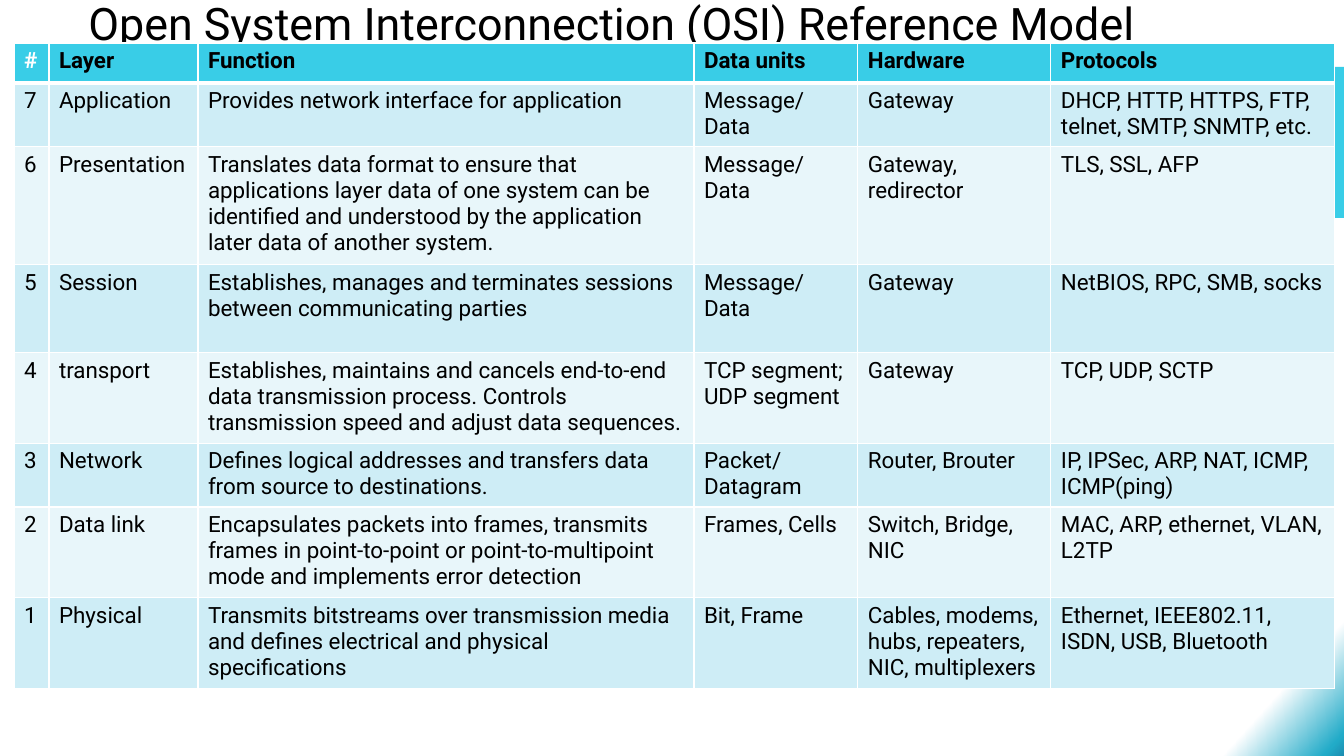
from lxml import etree
from pptx import Presentation
from pptx.dml.color import RGBColor
from pptx.enum.shapes import MSO_SHAPE
from pptx.enum.text import MSO_ANCHOR, PP_ALIGN
from pptx.oxml import parse_xml
from pptx.oxml.ns import nsdecls, qn
from pptx.util import Inches, Pt

FONT = "Roboto"
BLACK, WHITE, CYAN = "000000", "FFFFFF", "39CDE7"
BANDS = ["E8F6FA", "CEEDF6"]
SIDES = ["lnL", "lnR", "lnT", "lnB"]


def px(count):
    """Turn pixels into EMU, at 100.8 pixels to the inch."""
    return Inches(count / 100.8)


def rgb(code):
    return RGBColor.from_string(code)


deck = Presentation()
deck.slide_width, deck.slide_height = px(1344), px(756)
page = deck.slides.add_slide(deck.slide_layouts[6])

# Background: white with a blue corner
backdrop = page.background.fill
backdrop.gradient()
backdrop.gradient_angle = 318
stops = page.element.find(".//" + qn("a:gsLst"))
for stop in list(stops):
    stops.remove(stop)
for percent, code in [(94, WHITE), (99, "21ABC8"), (100, "1C8DB1"), (100, "0C2263")]:
    stop = etree.SubElement(stops, qn("a:gs"), pos=str(percent * 1000))
    etree.SubElement(stop, qn("a:srgbClr"), val=code)

# Accent block at the right edge
accent = page.shapes.add_shape(MSO_SHAPE.RECTANGLE, px(1167), px(67), px(177), px(151))
accent.shadow.inherit = False
accent.fill.solid()
accent.fill.fore_color.rgb = rgb(CYAN)
accent.line.fill.background()

# Title
title = page.shapes.add_textbox(px(0), px(-6), px(1224), px(49))
frame = title.text_frame
frame.word_wrap = True
frame.vertical_anchor = MSO_ANCHOR.TOP
frame.margin_top = px(8)
frame.margin_bottom = 0
frame.text = "Open System Interconnection (OSI) Reference Model"
para = frame.paragraphs[0]
para.alignment = PP_ALIGN.CENTER
para.line_spacing = 0.9
span = para.runs[0]
span.font.name, span.font.size = FONT, Pt(32)
span.font.color.rgb = rgb(BLACK)

# Table of layers
rows = [
    ("#", "Layer", "Function", "Data units", "Hardware", "Protocols"),
    ("7", "Application", "Provides network interface for application",
     "Message/Data", "Gateway", "DHCP, HTTP, HTTPS, FTP, telnet, SMTP, SNMTP, etc."),
    ("6", "Presentation",
     "Translates data format to ensure that applications layer data of one system can be "
     "identified and understood by the application later data of another system.",
     "Message/Data", "Gateway, redirector", "TLS, SSL, AFP"),
    ("5", "Session",
     "Establishes, manages and terminates sessions between communicating parties",
     "Message/Data", "Gateway", "NetBIOS, RPC, SMB, socks"),
    ("4", "transport",
     "Establishes, maintains and cancels end-to-end data transmission process. "
     "Controls transmission speed and adjust data sequences.",
     "TCP segment; UDP segment", "Gateway", "TCP, UDP, SCTP"),
    ("3", "Network",
     "Defines logical addresses and transfers data from source to destinations.",
     "Packet/\nDatagram", "Router, Brouter", "IP, IPSec, ARP, NAT, ICMP, ICMP(ping)"),
    ("2", "Data link",
     "Encapsulates packets into frames, transmits frames in point-to-point or "
     "point-to-multipoint mode and implements error detection",
     "Frames, Cells", "Switch, Bridge, NIC", "MAC, ARP, ethernet, VLAN, L2TP"),
    ("1", "Physical",
     "Transmits bitstreams over transmission media and defines electrical and physical "
     "specifications",
     "Bit, Frame", "Cables, modems, hubs, repeaters, NIC, multiplexers",
     "Ethernet, IEEE802.11, ISDN, USB, Bluetooth"),
]
widths = [35, 149, 496, 164, 193, 284]
heights = [40, 63, 114, 88, 89, 62, 88, 88]
table = page.shapes.add_table(len(rows), len(widths), px(14), px(43),
                              px(sum(widths)), px(sum(heights))).table
for column, width in zip(table.columns, widths):
    column.width = px(width)

for row_index, (row, height) in enumerate(zip(rows, heights)):
    table.rows[row_index].height = px(height)
    is_header = row_index == 0
    for column_index, words in enumerate(row):
        cell = table.cell(row_index, column_index)
        cell.fill.solid()
        cell.fill.fore_color.rgb = rgb(CYAN if is_header else BANDS[row_index % 2])
        cell.text_frame.text = words
        for para in cell.text_frame.paragraphs:
            for span in para.runs:
                span.font.name, span.font.size = FONT, Pt(16)
                span.font.bold = is_header
                span.font.color.rgb = rgb(WHITE if words == "#" else BLACK)
        properties = cell._tc.get_or_add_tcPr()
        for position, side in enumerate(SIDES):
            under_header = (row_index, side) in [(0, "lnB"), (1, "lnT")]
            border = parse_xml(
                f'<a:{side} {nsdecls("a")} w="{Pt(3 if under_header else 1)}">'
                f'<a:solidFill><a:srgbClr val="{WHITE}"/></a:solidFill></a:{side}>')
            properties.insert(position, border)

deck.save("out.pptx")
